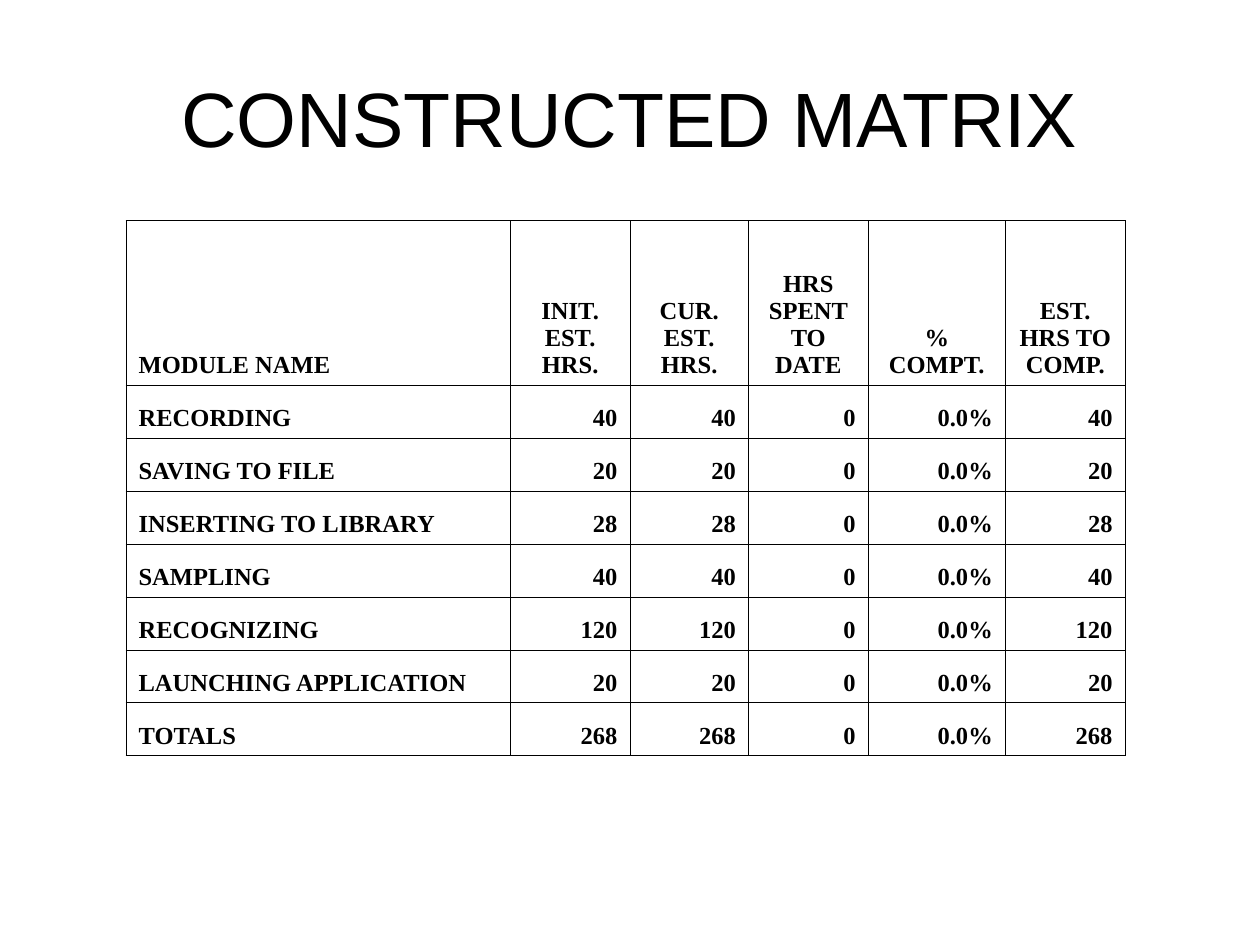
from lxml.etree import SubElement as Sub
from pptx import Presentation
from pptx.dml.color import RGBColor as Rgb
from pptx.enum.text import MSO_ANCHOR as Anchor, PP_ALIGN as Align
from pptx.oxml.ns import qn
from pptx.util import Inches, Pt

HUES = {"ink": "000000"}
TITLE = {"name": "Arial", "size": Pt(44), "bold": False}
BODY = {"name": "Times New Roman", "size": Pt(14), "bold": True}
HEADS = ["MODULE NAME", "INIT. EST. HRS.", "CUR. EST. HRS.",
         "HRS SPENT TO DATE", "% COMPT.", "EST. HRS TO COMP."]
HOURS = {"RECORDING": 40, "SAVING TO FILE": 20, "INSERTING TO LIBRARY": 28,
         "SAMPLING": 40, "RECOGNIZING": 120, "LAUNCHING APPLICATION": 20}
COLS = [3.05, 0.95, 0.94, 0.95, 1.09, 0.95]
HEAD_H, ROW_H = 1.31, 0.42


def write(frame, text, align, style):
    """Put one styled paragraph into a text frame."""
    para = frame.paragraphs[0]
    para.text = text
    para.alignment = align
    for key, value in style.items():
        setattr(para.font, key, value)
    para.font.color.rgb = Rgb.from_string(HUES["ink"])


def border(cell, width=Pt(0.45)):
    """Draw a thin line on all four sides of a cell."""
    props = cell._tc.get_or_add_tcPr()
    for side in ("lnL", "lnR", "lnT", "lnB"):
        line = Sub(props, qn(f"a:{side}"), w=str(int(width)))
        fill = Sub(line, qn("a:solidFill"))
        Sub(fill, qn("a:srgbClr"), val=HUES["ink"])


def add_title(slide, box, text):
    """Place the centred heading in its box."""
    frame = slide.shapes.add_textbox(*map(Inches, box)).text_frame
    frame.word_wrap = True
    frame.vertical_anchor = Anchor.MIDDLE
    write(frame, text, Align.CENTER, TITLE)


def hour_rows():
    """Return the header, module and total rows as text."""
    hours = {**HOURS, "TOTALS": sum(HOURS.values())}
    rows = [[name, str(n), str(n), "0", "0.0%", str(n)]
            for name, n in hours.items()]
    return [HEADS] + rows


def add_matrix(slide, left, top):
    """Place the table of module hours at the given corner."""
    rows = hour_rows()
    highs = [HEAD_H] + [ROW_H] * (len(rows) - 1)
    box = map(Inches, (left, top, sum(COLS), sum(highs)))
    table = slide.shapes.add_table(len(rows), len(COLS), *box).table
    table.first_row = table.horz_banding = False
    for col, width in zip(table.columns, COLS):
        col.width = Inches(width)
    for row, high in zip(table.rows, highs):
        row.height = Inches(high)
    for r, row in enumerate(rows):
        for c, text in enumerate(row):
            cell = table.cell(r, c)
            cell.vertical_anchor = Anchor.BOTTOM
            border(cell)
            cell.fill.background()
            align = Align.RIGHT if r else Align.CENTER
            write(cell.text_frame, text, align if c else Align.LEFT, BODY)


def main():
    """Build and save the slide."""
    deck = Presentation()
    deck.slide_width, deck.slide_height = Inches(10), Inches(7.5)
    slide = deck.slides.add_slide(deck.slide_layouts[6])
    add_title(slide, (0.5, 0.3, 9, 1.25), "CONSTRUCTED MATRIX")
    add_matrix(slide, 1, 1.75)
    deck.save("out.pptx")


if __name__ == "__main__":
    main()
